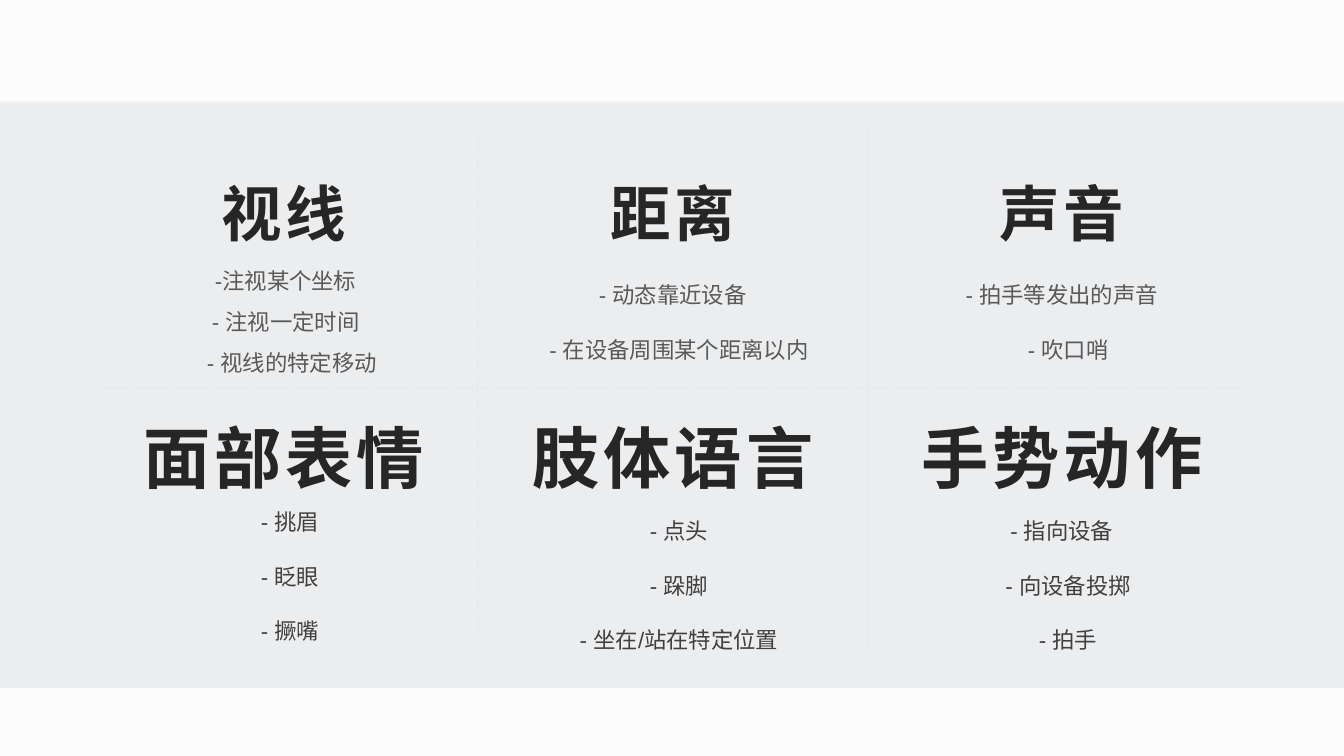
from lxml import etree
from pptx import Presentation
from pptx.dml.color import RGBColor
from pptx.enum import shapes, text
from pptx.oxml.ns import qn
from pptx.util import Pt

# Content: heading, list top, list left shift, (item, is indented)
ROWS = [
    dict(top=122.4, size=43.2, height=65.5, item_color="595959", topics=[
        ("视线", 187.2, 1.4, 1.0,
         [("-注视某个坐标", False), ("- 注视一定时间", False), ("- 视线的特定移动", True)]),
        ("距离", 187.9, 0, 1.5,
         [("- 动态靠近设备", False), ("- 在设备周围某个距离以内", True)]),
        ("声音", 187.9, 0, 1.5,
         [("- 拍手等发出的声音", False), ("- 吹口哨", True)]),
    ]),
    dict(top=293.8, size=48, height=79.2, item_color="404040", topics=[
        ("面部表情", 350, 0, 1.5,
         [("- 挑眉", True), ("- 眨眼", True), ("- 撅嘴", True)]),
        ("肢体语言", 356.4, 0, 1.5,
         [("- 点头", True), ("- 跺脚", True), ("- 坐在/站在特定位置", True)]),
        ("手势动作", 356.4, 0, 1.5,
         [("- 指向设备", False), ("- 向设备投掷", True), ("- 拍手", True)]),
    ]),
]
DIVIDERS = [(75.6, 277.2, 885.6, 277.2), (341.3, 92.9, 341.3, 460.8), (619.9, 92.9, 619.9, 460.8)]
FONT = "Arial"
SLIDE_W, SLIDE_H = 960, 540
COLUMN_LEFT, COLUMN_STEP, COLUMN_W = 74.2, 277.9, 257
ITEM_INDENT = 8.9


def paint(color_format, hex_color):
    color_format.rgb = RGBColor.from_string(hex_color)


def add_text(lines, left, top, height, size, color, bold=False, spacing=None,
             line_spacing=1.0, space_after=0):
    box = slide.shapes.add_textbox(Pt(left), Pt(top), Pt(COLUMN_W), Pt(height))
    frame = box.text_frame
    frame.word_wrap = True
    for i, (line, indented) in enumerate(lines):
        para = frame.paragraphs[0] if i == 0 else frame.add_paragraph()
        para.alignment = text.PP_ALIGN.CENTER
        para.line_spacing = line_spacing
        para.space_after = Pt(space_after)
        if indented:
            para._p.get_or_add_pPr().set("marL", str(Pt(ITEM_INDENT)))
        run = para.add_run()
        run.text = line
        run.font.size, run.font.bold, run.font.name = Pt(size), bold, FONT
        paint(run.font.color, color)
        props = run._r.get_or_add_rPr()
        etree.SubElement(props, qn("a:ea")).set("typeface", FONT)
        if spacing:
            props.set("spc", str(spacing * 100))


def add_divider(x1, y1, x2, y2):
    divider = slide.shapes.add_connector(
        shapes.MSO_CONNECTOR.STRAIGHT, Pt(x1), Pt(y1), Pt(x2), Pt(y2))
    divider.line.width = Pt(0.5)
    paint(divider.line.color, "D9D9D9")
    # Half transparent, no shadow
    color = divider._element.spPr.find(".//" + qn("a:srgbClr"))
    etree.SubElement(color, qn("a:alpha")).set("val", "50000")
    divider.line.dash_style = 4
    etree.SubElement(divider._element.spPr, qn("a:effectLst"))


prs = Presentation()
prs.slide_width, prs.slide_height = Pt(SLIDE_W), Pt(SLIDE_H)
slide = prs.slides.add_slide(prs.slide_layouts[6])

# Background and grey band
slide.background.fill.solid()
paint(slide.background.fill.fore_color, "FCFCFD")
band = slide.shapes.add_shape(shapes.MSO_SHAPE.RECTANGLE, 0, Pt(72.5), Pt(SLIDE_W), Pt(419))
band.shadow.inherit = False
band.fill.solid()
paint(band.fill.fore_color, "ECEDEF")
band.line.fill.background()

# Topics in a grid of two rows by three columns
for row in ROWS:
    for column, (heading, list_top, shift, line_spacing, items) in enumerate(row["topics"]):
        left = COLUMN_LEFT + column * COLUMN_STEP
        add_text([(heading, False)], left, row["top"], row["height"], row["size"],
                 "262626", bold=True, spacing=3)
        add_text(items, left + shift, list_top, 40 * len(items), 16,
                 row["item_color"], line_spacing=line_spacing, space_after=10)

# Dashed dividers
for ends in DIVIDERS:
    add_divider(*ends)

prs.save("out.pptx")
